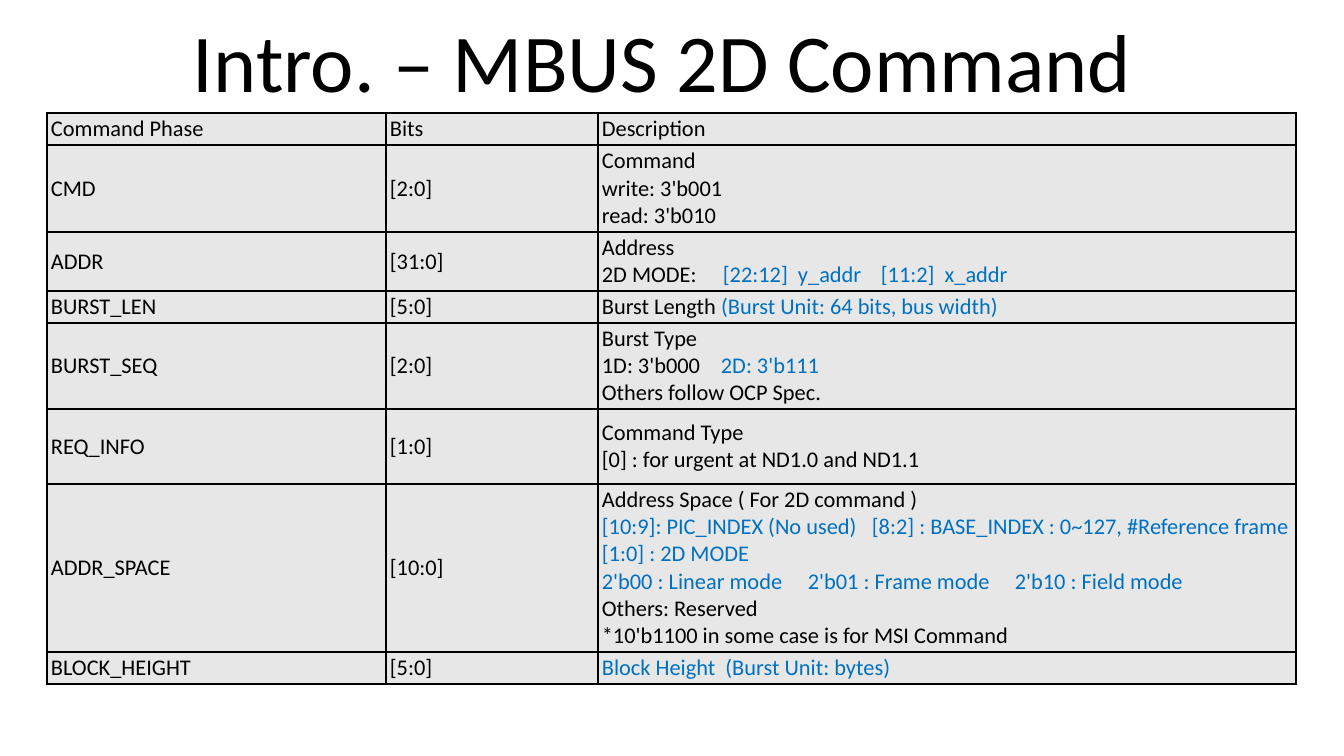
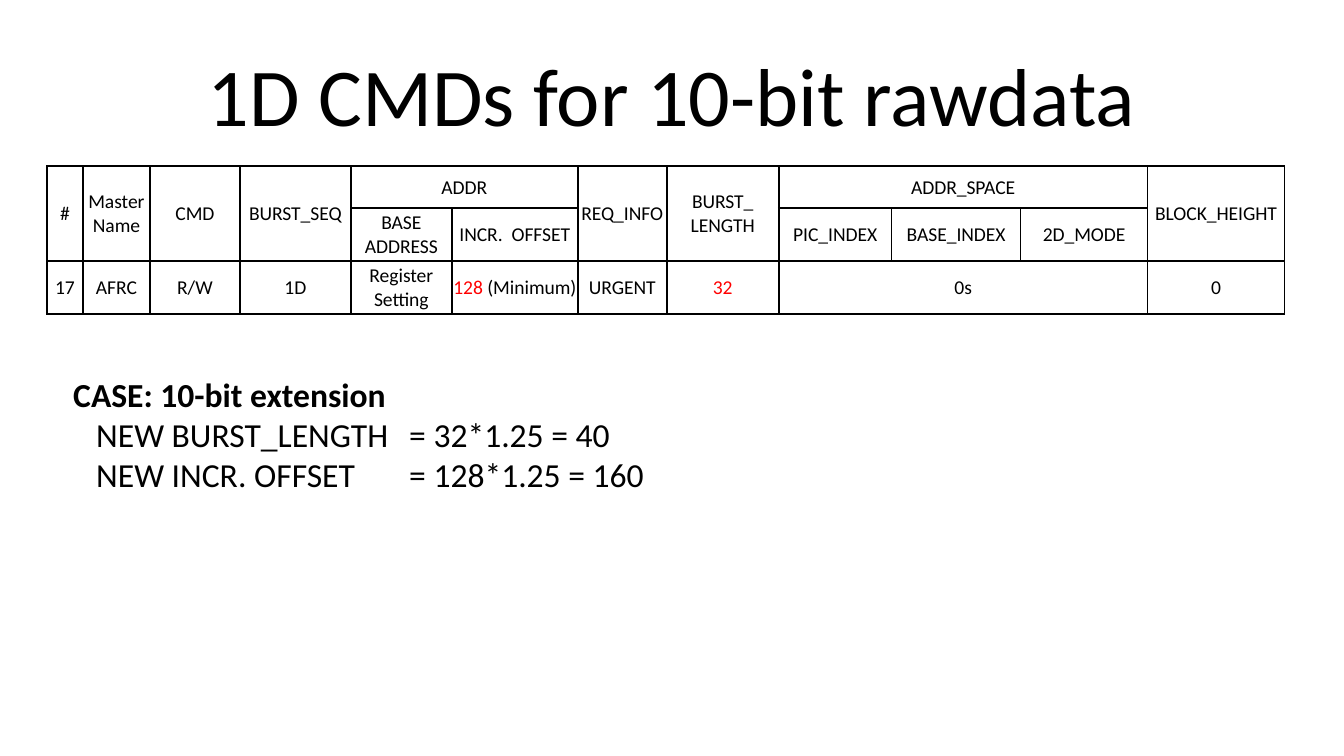
import dataclasses
import pptx
import pptx.dml.color
import pptx.enum.text
import pptx.oxml.ns
import pptx.util
from lxml import etree

SIZE = (1344, 756)
FONT = "Calibri"
BLACK, BLUE, RED = "000000", "0070C0", "FF0000"
GREY, WHITE = "E7E7E7", "FFFFFF"
LEFT = pptx.enum.text.PP_ALIGN.LEFT
MID = pptx.enum.text.PP_ALIGN.CENTER


@dataclasses.dataclass
class Line:
    runs: list
    tabs: tuple = ()
    inset: int = 0
    bold: bool = False


def blue(text, tabs=()):
    return Line([(text, BLUE)], tabs)


PHASES = [
    ["Command Phase", "Bits", "Description"],
    ["CMD", "[2:0]", ["Command", "write: 3'b001", "read: 3'b010"]],
    ["ADDR", "[31:0]", [
        "Address",
        Line(["2D MODE:\t", ("[22:12]  y_addr\t[11:2]  x_addr", BLUE)], (121, 279)),
    ]],
    ["BURST_LEN", "[5:0]", [
        Line(["Burst Length ", ("(Burst Unit: 64 bits, bus width)", BLUE)]),
    ]],
    ["BURST_SEQ", "[2:0]", [
        "Burst Type",
        Line(["1D: 3'b000\t", ("2D: 3'b111", BLUE)], (119,)),
        "Others follow OCP Spec.",
    ]],
    ["REQ_INFO", "[1:0]", ["Command Type", "[0] : for urgent at ND1.0 and ND1.1"]],
    ["ADDR_SPACE", "[10:0]", [
        "Address Space ( For 2D command )",
        blue("[10:9]: PIC_INDEX (No used)\t[8:2] : BASE_INDEX : 0~127, #Reference frame", (270,)),
        blue("[1:0] : 2D MODE"),
        blue("2'b00 : Linear mode\t2'b01 : Frame mode\t2'b10 : Field mode", (206, 413)),
        "Others: Reserved",
        "*10'b1100 in some case is for MSI Command",
    ]],
    ["BLOCK_HEIGHT", "[5:0]", [blue("Block Height  (Burst Unit: bytes)")]],
]

RIGHT, DOWN = "<", "^"
CALLS = [
    ["#", "Master Name", "CMD", "BURST_SEQ", "ADDR", RIGHT, "REQ_INFO",
     ["BURST_", "LENGTH"], "ADDR_SPACE", RIGHT, RIGHT, "BLOCK_HEIGHT"],
    [DOWN, DOWN, DOWN, DOWN, "BASE ADDRESS", "INCR.  OFFSET", DOWN, DOWN,
     "PIC_INDEX", "BASE_INDEX", "2D_MODE", DOWN],
    ["17", "AFRC", "R/W", "1D", "Register Setting",
     [Line([("128 ", RED), "(Minimum)"])], "URGENT",
     [Line([("32", RED)])], "0s", RIGHT, RIGHT, "0"],
]

CASE = [
    Line(["CASE: 10-bit extension"], bold=True),
    Line(["NEW BURST_LENGTH\t= 32*1.25 = 40"], (403,), 23),
    Line(["NEW INCR. OFFSET\t= 128*1.25 = 160"], (403,), 23),
]

SLIDES = [
    dict(
        title="Intro. – MBUS 2D Command ", top=-3,
        grid=dict(rows=PHASES, at=(47, 113), wide=(339, 212, 698),
                  high=(32, 87, 59, 32, 86, 75, 168, 32),
                  pad=(4, 2, 4, 2), size=12, align=LEFT, fill=GREY),
    ),
    dict(
        title="1D CMDs for 10-bit rawdata", top=31,
        grid=dict(rows=CALLS, at=(47, 166),
                  wide=(36, 67, 90, 111, 101, 126, 89, 112, 113, 129, 127, 137),
                  high=(42, 53, 53), pad=(1, 1, 1, 0),
                  size=10.5, align=MID, fill=WHITE),
        note=CASE,
    ),
]


def px(count):
    return pptx.util.Emu(round(count * 914400 / 134.4))


def rgb(code):
    return pptx.dml.color.RGBColor.from_string(code)


def add(node, tag, **attrs):
    return etree.SubElement(node, pptx.oxml.ns.qn(tag), **attrs)


def write(frame, text, size=12, align=LEFT, color=BLACK):
    frame.word_wrap = True
    lines = [text] if isinstance(text, str) else text
    for i, line in enumerate(lines):
        if isinstance(line, str):
            line = Line([line])
        para = frame.paragraphs[0] if i == 0 else frame.add_paragraph()
        para.alignment = align
        props = para._p.get_or_add_pPr()
        if line.inset:
            props.set("marL", "0")
            props.set("indent", str(px(line.inset)))
        if line.tabs:
            stops = add(props, "a:tabLst")
            for stop in line.tabs:
                add(stops, "a:tab", pos=str(px(stop)), algn="l")
        for part in line.runs:
            words, ink = (part, color) if isinstance(part, str) else part
            run = para.add_run()
            run.text = words
            run.font.name = FONT
            run.font.size = pptx.util.Pt(size)
            run.font.bold = line.bold
            run.font.color.rgb = rgb(ink)


def style(cell, pad, fill):
    (cell.margin_left, cell.margin_top,
     cell.margin_right, cell.margin_bottom) = map(px, pad)
    cell.vertical_anchor = pptx.enum.text.MSO_ANCHOR.MIDDLE
    props = cell._tc.get_or_add_tcPr()
    for side in "LRTB":
        edge = add(props, "a:ln" + side, w=str(pptx.util.Pt(1)))
        add(add(edge, "a:solidFill"), "a:srgbClr", val=BLACK)
    cell.fill.solid()
    cell.fill.fore_color.rgb = rgb(fill)


def span(rows, r, c):
    low, far = r, c
    while far + 1 < len(rows[r]) and rows[r][far + 1] == RIGHT:
        far += 1
    while low + 1 < len(rows) and rows[low + 1][c] == DOWN:
        low += 1
    return low, far


def draw_grid(slide, rows, at, wide, high, pad, size, align, fill):
    box = (*at, sum(wide), sum(high))
    table = slide.shapes.add_table(len(high), len(wide), *map(px, box)).table
    table.first_row = table.horz_banding = False
    for col, width in zip(table.columns, wide):
        col.width = px(width)
    for row, height in zip(table.rows, high):
        row.height = px(height)
    for r, row in enumerate(rows):
        for c, text in enumerate(row):
            cell = table.cell(r, c)
            style(cell, pad, fill)
            if text in (RIGHT, DOWN):
                continue
            end = span(rows, r, c)
            if end != (r, c):
                cell.merge(table.cell(*end))
            write(cell.text_frame, text, size=size, align=align)


def draw_title(slide, text, top):
    title = slide.shapes.title
    title.left, title.top, title.width, title.height = map(px, (67, top, 1210, 126))
    frame = title.text_frame
    frame.auto_size = pptx.enum.text.MSO_AUTO_SIZE.NONE
    frame.vertical_anchor = pptx.enum.text.MSO_ANCHOR.MIDDLE
    write(frame, text, size=44, align=MID)


def main():
    deck = pptx.Presentation()
    deck.slide_width, deck.slide_height = map(px, SIZE)
    for data in SLIDES:
        slide = deck.slides.add_slide(deck.slide_layouts[5])
        draw_title(slide, data["title"], data["top"])
        draw_grid(slide, **data["grid"])
        if "note" in data:
            box = slide.shapes.add_textbox(*map(px, (60, 367, 1185, 176)))
            write(box.text_frame, data["note"], size=18)
    deck.save("out.pptx")


if __name__ == "__main__":
    main()
